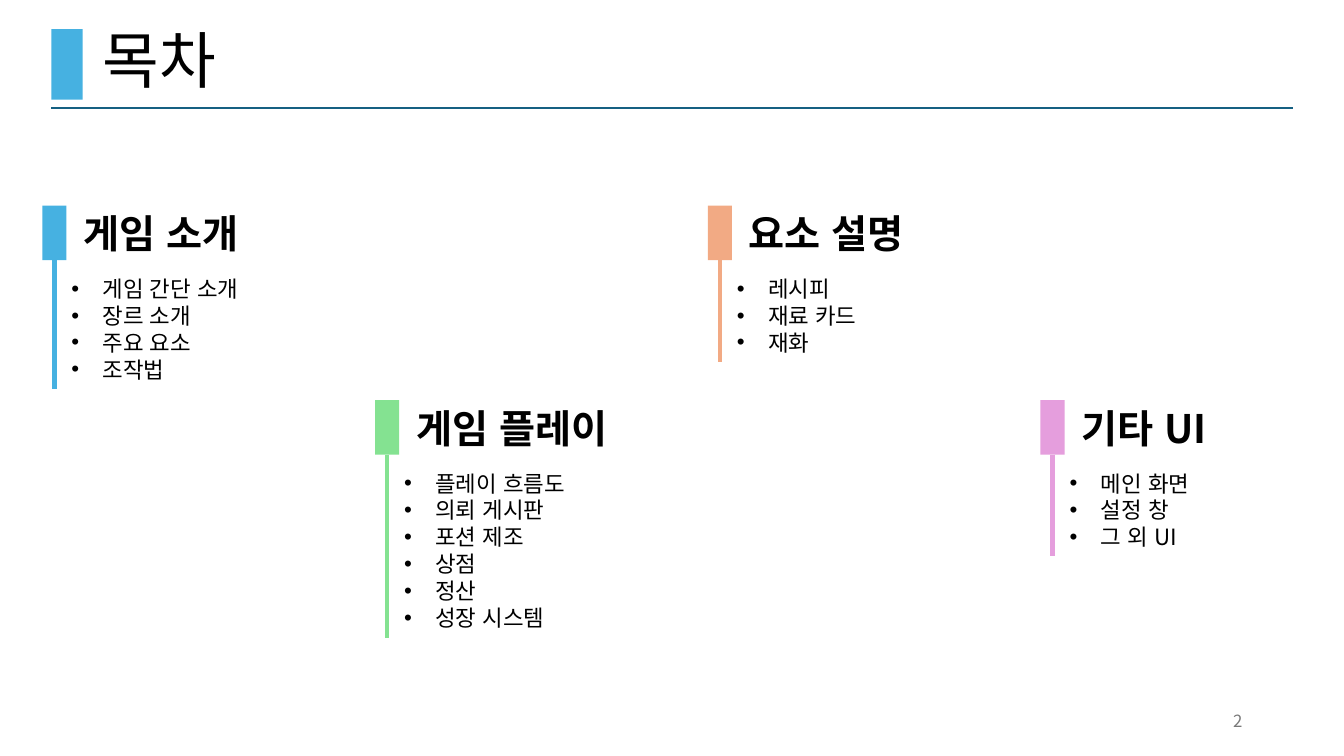
from lxml.etree import SubElement
from pptx import Presentation
from pptx.dml.color import RGBColor
from pptx.enum.lang import MSO_LANGUAGE_ID
from pptx.enum.shapes import MSO_CONNECTOR, MSO_SHAPE
from pptx.enum.text import MSO_ANCHOR, MSO_AUTO_SIZE, PP_ALIGN
from pptx.oxml.ns import qn
from pptx.util import Inches, Pt

FONT = "Noto Sans CJK KR"
BLACK = RGBColor(0x00, 0x00, 0x00)
GRAY = RGBColor(0x79, 0x79, 0x79)
NAVY = RGBColor(0x15, 0x60, 0x82)
BLUE = RGBColor(0x46, 0xB1, 0xE1)
GREEN = RGBColor(0x84, 0xE2, 0x91)
ORANGE = RGBColor(0xF2, 0xAA, 0x84)
PINK = RGBColor(0xE5, 0x9E, 0xDD)

# Grid of sections, in inches
LEFT, COL_STEP = 0.42, 3.3
ROW_TOPS = (2.04, 3.97)
TAB_W, TAB_H = 0.24, 0.54
LIST_OFFSET, LINE_H, LIST_PAD = 0.64, 0.27, 0.1
INDENT = Inches(0.31)

# Heading, colour, grid row, heading width, items
SECTIONS = [
    ("게임 소개", BLUE, 0, 1.91, ["게임 간단 소개", "장르 소개", "주요 요소", "조작법"]),
    ("게임 플레이", GREEN, 1, 2.3,
     ["플레이 흐름도", "의뢰 게시판", "포션 제조", "상점", "정산", "성장 시스템"]),
    ("요소 설명", ORANGE, 0, 1.91, ["레시피", "재료 카드", "재화"]),
    ("기타 UI", PINK, 1, 1.7, ["메인 화면", "설정 창", "그 외 UI"]),
]


def add_run(p, text, size, color=BLACK, bold=False):
    r = p.add_run()
    r.text = text
    r.font.size = Pt(size)
    r.font.bold = bold
    r.font.name = FONT
    r.font.color.rgb = color
    r.font.language_id = MSO_LANGUAGE_ID.KOREAN
    SubElement(r.font._element, qn("a:ea"), typeface=FONT)


def add_bullet(p):
    pPr = p._p.get_or_add_pPr()
    pPr.set("marL", str(INDENT))
    pPr.set("indent", str(-INDENT))
    SubElement(pPr, qn("a:buFont"), typeface="Arial")
    SubElement(pPr, qn("a:buChar"), char="•")


def add_box(shapes, x, y, w, h, wrap=True):
    tf = shapes.add_textbox(Inches(x), Inches(y), Inches(w), Inches(h)).text_frame
    tf.word_wrap = wrap
    return tf


def add_block(shapes, x, y, w, h, color):
    sp = shapes.add_shape(MSO_SHAPE.RECTANGLE, Inches(x), Inches(y), Inches(w), Inches(h))
    sp.shadow.inherit = False
    sp.fill.solid()
    sp.fill.fore_color.rgb = color
    sp.line.fill.background()


def add_line(shapes, x1, y1, x2, y2, color, width):
    line = shapes.add_connector(MSO_CONNECTOR.STRAIGHT, Inches(x1), Inches(y1),
                                Inches(x2), Inches(y2))
    line.line.color.rgb = color
    line.line.width = Pt(width)
    SubElement(line._element.spPr, qn("a:effectLst"))


def add_title(slide, text):
    title = slide.shapes.title
    title.left, title.top = Inches(0.92), Inches(0.18)
    title.width, title.height = Inches(11.5), Inches(0.9)
    tf = title.text_frame
    tf.vertical_anchor = MSO_ANCHOR.MIDDLE
    p = tf.paragraphs[0]
    p.alignment = PP_ALIGN.LEFT
    p.line_spacing = 0.9
    add_run(p, text, 44)
    add_line(slide.shapes, 0.51, 1.07, 12.82, 1.07, NAVY, 1.5)
    add_block(slide.shapes, 0.51, 0.29, 0.31, 0.7, BLUE)


def add_section(slide, col, heading, color, row, heading_w, items):
    shapes = slide.shapes.add_group_shape().shapes
    x, y = LEFT + col * COL_STEP, ROW_TOPS[row]
    list_top = y + LIST_OFFSET
    list_h = LIST_PAD + LINE_H * len(items)

    # Bulleted items
    tf = add_box(shapes, x + 0.19, list_top, 2.44, list_h)
    tf.auto_size = MSO_AUTO_SIZE.SHAPE_TO_FIT_TEXT
    for i, item in enumerate(items):
        p = tf.add_paragraph() if i else tf.paragraphs[0]
        add_bullet(p)
        add_run(p, item, 16)

    # Coloured tab, heading and stem
    add_block(shapes, x, y, TAB_W, TAB_H, color)
    tf = add_box(shapes, x + 0.31, y - 0.01, heading_w, 0.57, wrap=False)
    tf.auto_size = MSO_AUTO_SIZE.SHAPE_TO_FIT_TEXT
    add_run(tf.paragraphs[0], heading, 28, bold=True)
    stem_x = x + TAB_W / 2
    add_line(shapes, stem_x, y + TAB_H, stem_x, list_top + list_h, color, 3)


def add_page_number(slide, number):
    tf = add_box(slide.shapes, 9.42, 6.95, 3, 0.4)
    tf.vertical_anchor = MSO_ANCHOR.MIDDLE
    p = tf.paragraphs[0]
    p.alignment = PP_ALIGN.RIGHT
    add_run(p, number, 12, GRAY)


def main():
    prs = Presentation()
    prs.slide_width, prs.slide_height = Inches(13.33), Inches(7.5)
    slide = prs.slides.add_slide(prs.slide_layouts[5])
    add_title(slide, "목차")
    for col, section in enumerate(SECTIONS):
        add_section(slide, col, *section)
    add_page_number(slide, "2")
    prs.save("out.pptx")


if __name__ == "__main__":
    main()
